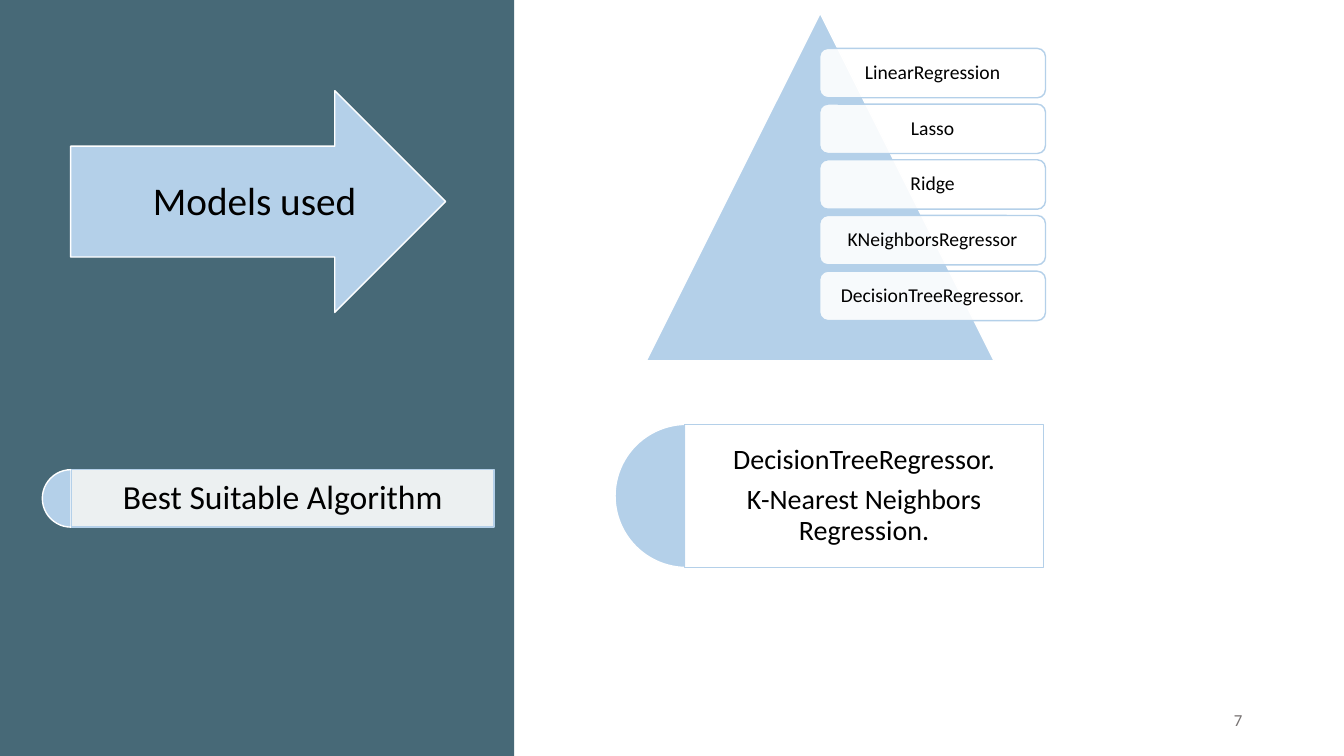
from dataclasses import dataclass

from lxml.etree import SubElement
from pptx import Presentation
from pptx.dml.color import RGBColor
from pptx.enum.shapes import MSO_SHAPE
from pptx.enum.text import MSO_ANCHOR, MSO_AUTO_SIZE, PP_ALIGN
from pptx.oxml.ns import qn
from pptx.util import Inches, Pt


@dataclass(frozen=True)
class Theme:
    font: str = "Calibri"
    panel: str = "476977"
    accent: str = "B4D0E9"
    white: str = "FFFFFF"
    text: str = "000000"
    muted: str = "767171"
    title_size: int = 28
    label_size: int = 24
    result_size: int = 20
    model_size: int = 14
    number_size: int = 12


@dataclass(frozen=True)
class Area:
    left: float
    top: float
    width: float
    height: float

    def lengths(self):
        return [Inches(v) for v in (self.left, self.top, self.width, self.height)]


@dataclass(frozen=True)
class Callout:
    """A half disc with a text panel that starts at its centre."""
    disc: Area
    panel: Area
    lines: tuple[str, ...]
    size: int
    inset: float


THEME = Theme()
MODELS = ("LinearRegression", "Lasso", "Ridge", "KNeighborsRegressor",
          "DecisionTreeRegressor.")
FIRST_MODEL_TOP, LAST_MODEL_TOP = 0.48, 2.69
CALLOUTS = (
    Callout(Area(0.42, 4.66, 0.57, 0.57), Area(0.71, 4.66, 4.19, 0.57),
            ("Best Suitable Algorithm",), THEME.label_size, 0.1),
    Callout(Area(6.1, 4.21, 1.42, 1.42), Area(6.79, 4.21, 3.56, 1.42),
            ("DecisionTreeRegressor.", "K-Nearest Neighbors Regression."),
            THEME.result_size, 0.08),
)


def add_block(page, kind, area: Area, fill: str, line: str | None = None,
              opacity: int = 100):
    block = page.shapes.add_shape(kind, *area.lengths())
    block.shadow.inherit = False
    block.fill.solid()
    block.fill.fore_color.rgb = RGBColor.from_string(fill)
    if opacity < 100:
        color = block.element.spPr.find(qn("a:solidFill"))[0]
        SubElement(color, qn("a:alpha"), val=str(opacity * 1000))
    if line:
        block.line.color.rgb = RGBColor.from_string(line)
        block.line.width = Pt(1)
    else:
        block.line.fill.background()
    return block


def write_text(box, lines: tuple[str, ...], size: int, inset: float,
               color: str = THEME.text, align=PP_ALIGN.CENTER) -> None:
    frame = box.text_frame
    frame.word_wrap = True
    frame.auto_size = MSO_AUTO_SIZE.NONE
    frame.vertical_anchor = MSO_ANCHOR.MIDDLE
    frame.margin_left = frame.margin_right = Inches(inset)
    frame.margin_top = frame.margin_bottom = Inches(inset)
    for index, line in enumerate(lines):
        para = frame.add_paragraph() if index else frame.paragraphs[0]
        para.alignment = align
        para.line_spacing = 0.9
        para.space_before = Pt(0)
        para.space_after = Pt(round(size * 0.35))
        span = para.add_run()
        span.text = line
        span.font.name = THEME.font
        span.font.size = Pt(size)
        span.font.color.rgb = RGBColor.from_string(color)


def add_title_arrow(page) -> None:
    arrow = add_block(page, MSO_SHAPE.RIGHT_ARROW, Area(0.7, 0.9, 3.72, 2.2),
                      THEME.accent, THEME.white)
    title = page.shapes.title
    title.left, title.top, title.width, title.height = Area(1, 1.46, 3.05, 1.1).lengths()
    write_text(title, ("Models used",), THEME.title_size, 0)
    arrow.element.addnext(title.element)  # keep the title in front of the arrow


def add_models(page) -> None:
    add_block(page, MSO_SHAPE.ISOSCELES_TRIANGLE, Area(6.41, 0.13, 3.45, 3.45),
              THEME.accent, THEME.white)
    pitch = (LAST_MODEL_TOP - FIRST_MODEL_TOP) / (len(MODELS) - 1)
    for index, model in enumerate(MODELS):
        area = Area(8.13, FIRST_MODEL_TOP + index * pitch, 2.24, 0.49)
        box = add_block(page, MSO_SHAPE.ROUNDED_RECTANGLE, area, THEME.white,
                        THEME.accent, opacity=90)
        write_text(box, (model,), THEME.model_size, 0.06)


def add_callout(page, callout: Callout) -> None:
    disc = add_block(page, MSO_SHAPE.PIE, callout.disc, THEME.accent, THEME.white)
    disc.adjustments[0], disc.adjustments[1] = 54, 162
    panel = add_block(page, MSO_SHAPE.RECTANGLE, callout.panel, THEME.white,
                      THEME.accent, opacity=90)
    write_text(panel, callout.lines, callout.size, callout.inset)


def main() -> None:
    deck = Presentation()
    deck.slide_width, deck.slide_height = Inches(13.33), Inches(7.5)
    page = deck.slides.add_slide(deck.slide_layouts[5])

    # Left panel and title
    add_block(page, MSO_SHAPE.RECTANGLE, Area(0, 0, 5.1, 7.5), THEME.panel)
    add_title_arrow(page)

    # Models and the best algorithms
    add_models(page)
    for callout in CALLOUTS:
        add_callout(page, callout)

    # Page number
    number = page.shapes.add_textbox(*Area(9.42, 6.95, 3, 0.4).lengths())
    write_text(number, ("7",), THEME.number_size, 0.1, THEME.muted, PP_ALIGN.RIGHT)
    number.text_frame.paragraphs[0].space_after = Pt(0)

    deck.save("out.pptx")


if __name__ == "__main__":
    main()
